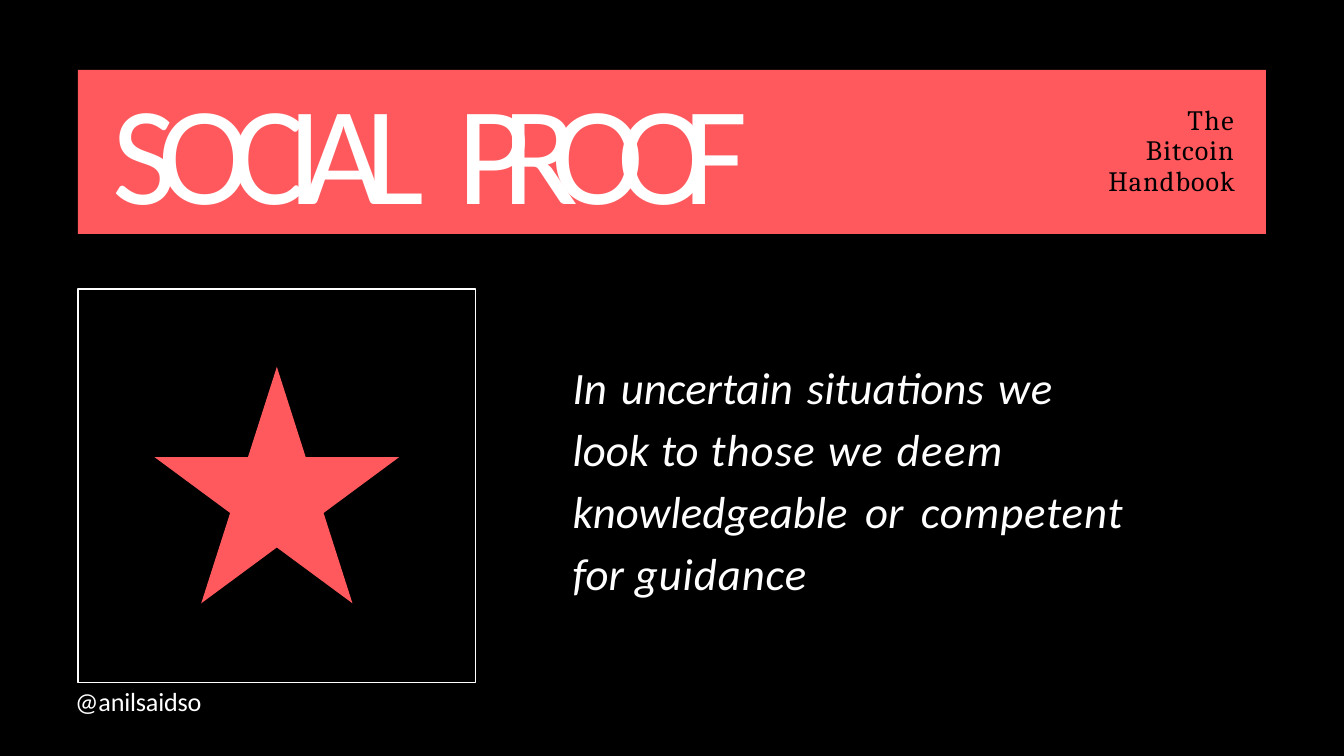
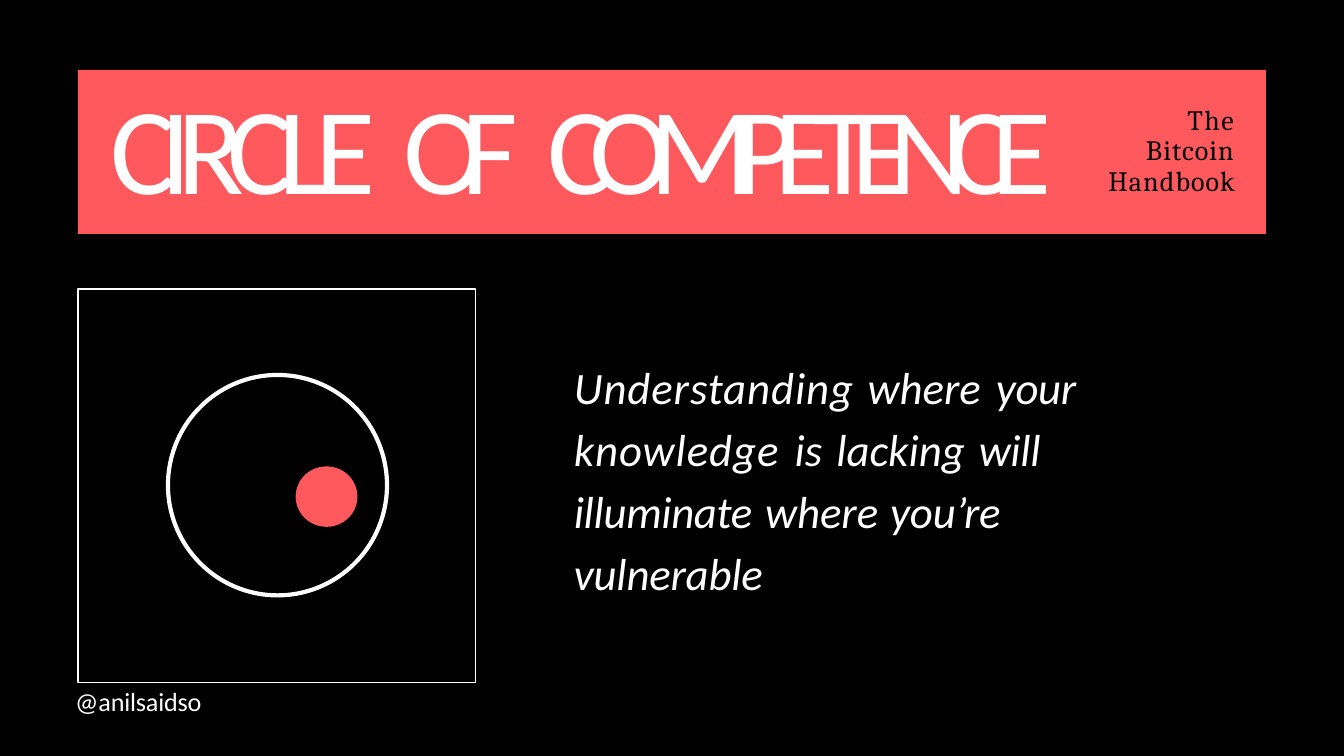
"""Build two concept slides with a shared banner, picture frame and footer."""
import pptx
import pptx.dml.color
import pptx.enum.shapes
import pptx.enum.text
import pptx.util

Inches = pptx.util.Inches
Pt = pptx.util.Pt
RGBColor = pptx.dml.color.RGBColor
SHAPE = pptx.enum.shapes.MSO_SHAPE
ALIGN = pptx.enum.text.PP_ALIGN

BLACK = RGBColor(0x00, 0x00, 0x00)
WHITE = RGBColor(0xFF, 0xFF, 0xFF)
CORAL = RGBColor(0xFF, 0x59, 0x5E)
BODY_FONT = "Calibri"
BRAND_FONT = "Cambria"


def write(sp, phrases, size, font=BODY_FONT, color=WHITE, italic=False,
          align=ALIGN.LEFT, top=0.01, margin=0.01, indent=0, spacing=None):
    """Fill a box with one paragraph of (text, letter spacing, space spacing) phrases."""
    tf = sp.text_frame
    tf.word_wrap = True
    tf.auto_size = pptx.enum.text.MSO_AUTO_SIZE.SHAPE_TO_FIT_TEXT
    tf.vertical_anchor = pptx.enum.text.MSO_ANCHOR.TOP
    tf.margin_left = tf.margin_right = tf.margin_bottom = 0
    tf.margin_top = Inches(top)
    p = tf.paragraphs[0]
    p.alignment = align
    p.space_before = Pt(0)
    if spacing:
        p.line_spacing = spacing
    pPr = p._p.get_or_add_pPr()
    pPr.set("marL", str(Inches(margin)))
    pPr.set("indent", str(Inches(indent)))
    words = [(word, tracking, gap) for text, tracking, gap in phrases
             for word in text.split()]
    pieces = []
    for word, tracking, gap in words:
        pieces += [(word, tracking), (" ", gap)]
    for text, tracking in pieces[:-1]:
        r = p.add_run()
        r.text = text
        r.font.name = font
        r.font.size = Pt(size)
        r.font.italic = italic
        r.font.color.rgb = color
        r._r.get_or_add_rPr().set("spc", str(round(tracking * 100)))


def add_text(s, box, phrases, size, **fmt):
    """Add a text box at box (left, top, width, height)."""
    write(s.shapes.add_textbox(*map(Inches, box)), phrases, size, **fmt)


def add_figure(s, kind, box, fill=None, line=None, weight=0.75):
    """Add a preset shape with an optional fill and outline."""
    sp = s.shapes.add_shape(kind, *map(Inches, box))
    sp.shadow.inherit = False
    if fill is None:
        sp.fill.background()
    else:
        sp.fill.solid()
        sp.fill.fore_color.rgb = fill
    if line is None:
        sp.line.fill.background()
    else:
        sp.line.color.rgb = line
        sp.line.width = Pt(weight)


def add_concept(prs, title, title_size, title_fmt, body, body_box):
    """Add a slide with frame, banner, title, body text, handle and book name."""
    s = prs.slides.add_slide(prs.slide_layouts[5])
    add_figure(s, SHAPE.RECTANGLE, (0.58, 2.15, 2.96, 2.93), line=WHITE)
    add_figure(s, SHAPE.RECTANGLE, (0.58, 0.52, 8.84, 1.22), fill=CORAL)
    sp = s.shapes.title
    sp.left, sp.top, sp.width, sp.height = map(Inches, (0.82, 0.48, 7.07, 1.23))
    s.shapes._spTree.append(sp._element)
    write(sp, title, title_size, **title_fmt)
    add_text(s, body_box, body, 24, italic=True, top=0, spacing=1.15)
    add_text(s, (0.55, 5.09, 1, 0.26), [("@anilsaidso", -0.1, 0)], 14)
    add_text(s, (8.09, 0.74, 1.1, 0.74),
             [("The", 0.8, 0.8), ("Bitcoin Handbook", 0.6, 0.6)],
             15, font=BRAND_FONT, color=BLACK, align=ALIGN.RIGHT, top=0.04,
             indent=0.67, spacing=Pt(16.5))
    return s


def main():
    """Build and save the deck."""
    prs = pptx.Presentation()
    prs.slide_width, prs.slide_height = Pt(720), Pt(405)
    background = prs.slide_master.background.fill
    background.solid()
    background.fore_color.rgb = BLACK

    s = add_concept(
        prs, [("SOCIAL", -10.2, 0.5), ("PROOF", -14.2, 0)], 75,
        {"top": 0, "margin": 0.02},
        [("In uncertain situations", 0, 2.1), ("we", 0.4, 0.4),
         ("look to", 0, 1), ("those", 0.6, 1.1), ("we", 0.7, 1.3),
         ("deem", 0.8, 0.8), ("knowledgeable or", 0, 3.9),
         ("competent", 0.5, 0.5), ("for", 0, 0.4), ("guidance", 0.5, 0)],
        (4.25, 2.62, 4.19, 1.87))
    add_figure(s, SHAPE.STAR_5_POINT, (1.15, 2.73, 1.82, 1.76), fill=CORAL)

    s = add_concept(
        prs, [("CIRCLE", -8, -1), ("OF", -12.7, 0.7), ("COMPETENCE", -11.7, 0)],
        66, {"top": 0.05, "margin": 0},
        [("Understanding", 0.5, 1.6), ("where", 0, 2.7), ("your", -0.2, 0),
         ("knowledge", 0.5, 2.6), ("is lacking", 0, 2),
         ("will illuminate", -0.2, 1.5), ("where", 0, 1),
         ("you’re vulnerable", -0.1, 0)],
        (4.26, 2.62, 3.82, 1.87))
    add_figure(s, SHAPE.OVAL, (1.25, 2.79, 1.63, 1.64), line=WHITE, weight=2.25)
    add_figure(s, SHAPE.OVAL, (2.2, 3.47, 0.46, 0.45), fill=CORAL)

    prs.save("out.pptx")


if __name__ == "__main__":
    main()
